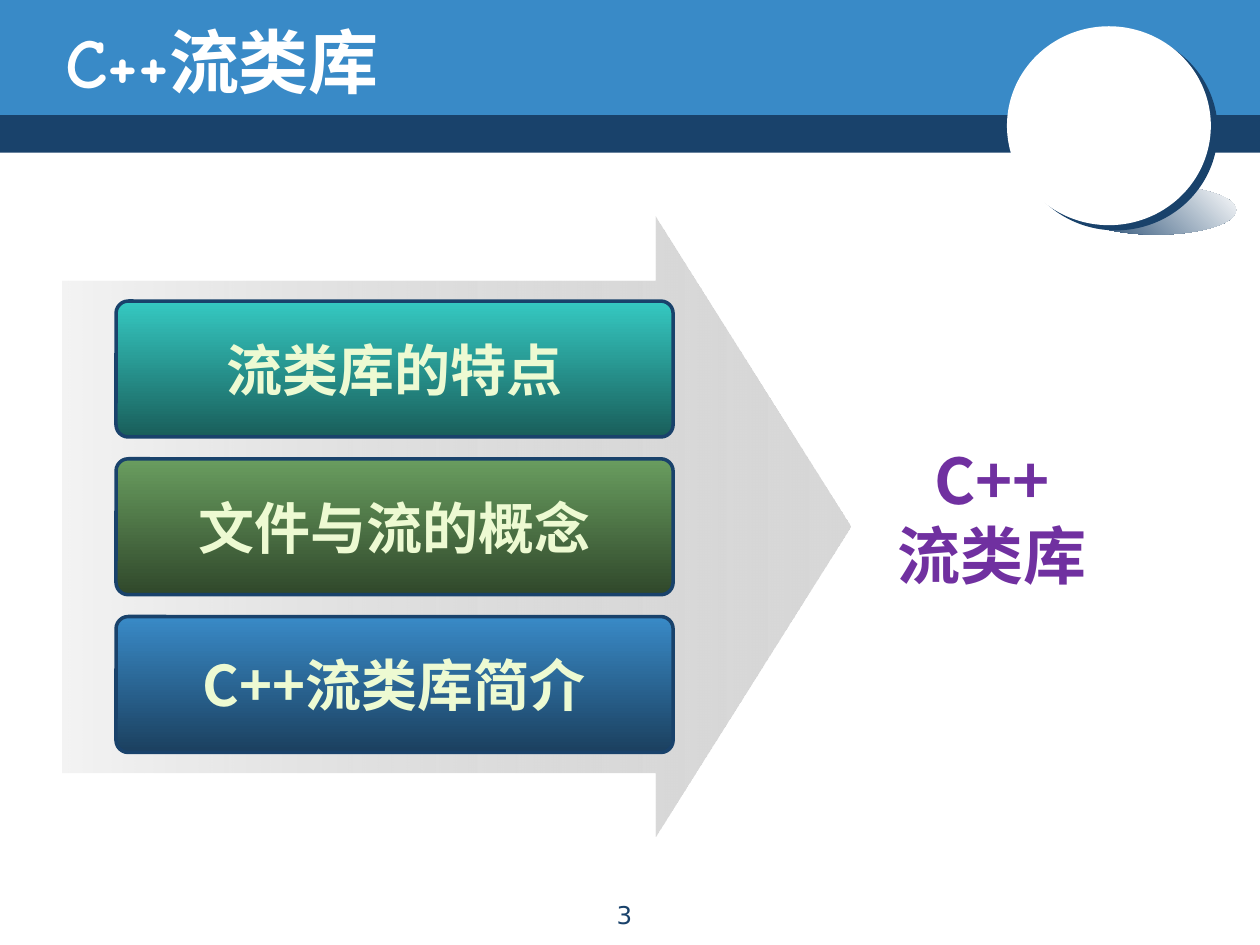
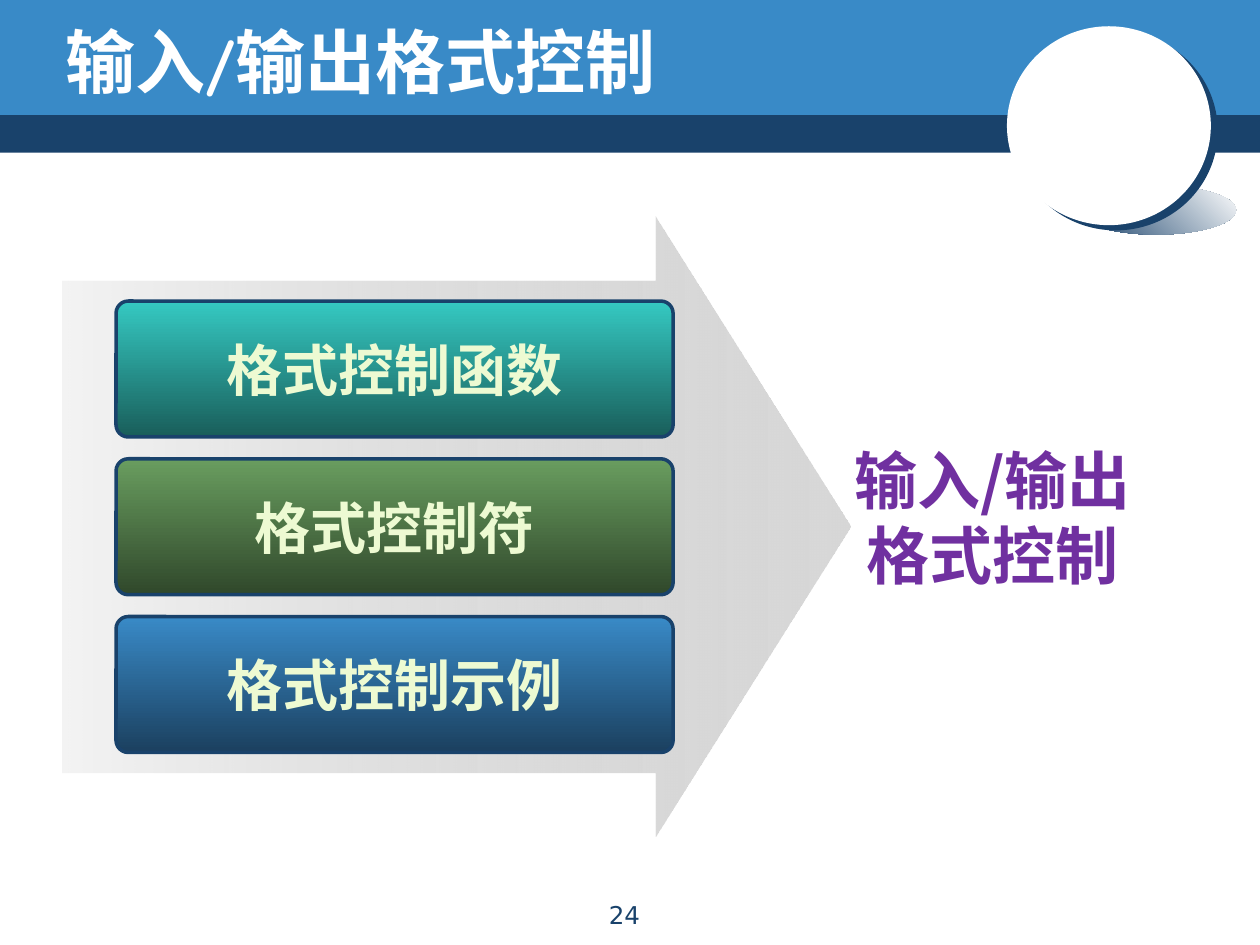
"""Two overview slides about C++ streams: three topics on an arrow, leading to a goal."""
from dataclasses import dataclass

import lxml.etree
import pptx
import pptx.dml.color
import pptx.enum.shapes
import pptx.enum.text
import pptx.oxml.ns
import pptx.util

Cm = pptx.util.Cm
Pt = pptx.util.Pt
RGBColor = pptx.dml.color.RGBColor
Preset = pptx.enum.shapes.MSO_SHAPE
Align = pptx.enum.text.PP_ALIGN
Anchor = pptx.enum.text.MSO_ANCHOR
qn = pptx.oxml.ns.qn

NAVY = RGBColor(0x19, 0x42, 0x6B)
BLUE = RGBColor(0x39, 0x8A, 0xC7)
WHITE = RGBColor(0xFF, 0xFF, 0xFF)
PALE_LIME = RGBColor(0xED, 0xFA, 0xD2)
PURPLE = RGBColor(0x70, 0x30, 0xA0)
ARROW_TAIL = RGBColor(0xB2, 0xB2, 0xB2)
ARROW_TIP = RGBColor(0xD7, 0xD7, 0xD7)
TOPIC_GRADIENTS = (
    (RGBColor(0x35, 0xC9, 0xC2), RGBColor(0x19, 0x5E, 0x5A)),
    (RGBColor(0x69, 0x9D, 0x5F), RGBColor(0x30, 0x48, 0x2B)),
    (BLUE, RGBColor(0x1B, 0x40, 0x5F)),
)
CJK_FONT = "Noto Sans CJK SC"


@dataclass(frozen=True)
class Box:
    """A place on the slide, in centimetres."""
    left: float
    top: float
    width: float
    height: float

    def lengths(self) -> tuple:
        """Return the four lengths for python-pptx."""
        return Cm(self.left), Cm(self.top), Cm(self.width), Cm(self.height)


@dataclass(frozen=True)
class TextStyle:
    """The look of a text."""
    font: str
    size: int
    color: RGBColor
    bold: bool = True
    align: Align = Align.CENTER
    anchor: Anchor = Anchor.MIDDLE
    wrap: bool = True


@dataclass(frozen=True)
class Overview:
    """The content of one slide."""
    title: str
    topics: tuple
    goal: tuple
    number: int


TITLE_STYLE = TextStyle("Comic Neue", 40, WHITE, align=Align.LEFT)
TOPIC_STYLE = TextStyle(CJK_FONT, 32, PALE_LIME, wrap=False)
GOAL_STYLE = TextStyle(CJK_FONT, 36, PURPLE)
NUMBER_STYLE = TextStyle("DejaVu Sans", 14, NAVY, bold=False, anchor=Anchor.TOP)

SLIDE_WIDTH, SLIDE_HEIGHT = 25.4, 19.05
LOWER_BAND = Box(0, 2.2, SLIDE_WIDTH, 0.88)
UPPER_BAND = Box(0, 0, SLIDE_WIDTH, 2.32)
DISC_SHADE = Box(21.69, 3.74, 3.23, 0.99)
DISC = Box(20.3, 0.53, 4.11, 4.01)
TITLE = Box(1.07, 0.43, 20.52, 1.57)
ARROW = Box(1.27, 4.37, 15.88, 12.5)
FIRST_TOPIC = Box(2.34, 6.07, 11.23, 2.74)
TOPIC_PITCH = 3.18
GOAL = Box(16.51, 8.61, 6.99, 3.61)
NUMBER = Box(10.29, 18.01, 4.6, 0.81)

OVERVIEWS = (
    Overview("C++流类库", ("流类库的特点", "文件与流的概念", "C++流类库简介"),
             ("C++", "流类库"), 3),
    Overview("输入/输出格式控制", ("格式控制函数", "格式控制符", "格式控制示例"),
             ("输入/输出", "格式控制"), 24),
)


def add_preset(slide, preset: Preset, box: Box, colors: tuple, angle: float = 0):
    """Add a borderless shape filled with one colour or a two-colour gradient."""
    shape = slide.shapes.add_shape(preset, *box.lengths())
    shape.shadow.inherit = False
    shape.line.fill.background()
    if len(colors) == 1:
        shape.fill.solid()
        shape.fill.fore_color.rgb = colors[0]
    else:
        shape.fill.gradient()
        shape.fill.gradient_angle = angle
        for stop, color, position in zip(shape.fill.gradient_stops, colors, (0, 1)):
            stop.color.rgb = color
            stop.position = position
    return shape


def write(shape, lines: tuple, style: TextStyle) -> None:
    """Write one paragraph per line in the given style."""
    frame = shape.text_frame
    frame.word_wrap = style.wrap
    frame.vertical_anchor = style.anchor
    for index, line in enumerate(lines):
        paragraph = frame.add_paragraph() if index else frame.paragraphs[0]
        paragraph.alignment = style.align
        run = paragraph.add_run()
        run.text = line
        run.font.name = style.font
        run.font.size = Pt(style.size)
        run.font.bold = style.bold
        run.font.color.rgb = style.color
        east_asian = lxml.etree.SubElement(run.font._element, qn("a:ea"))
        east_asian.set("typeface", CJK_FONT)


def add_label(slide, box: Box, lines: tuple, style: TextStyle) -> None:
    """Add a text box."""
    write(slide.shapes.add_textbox(*box.lengths()), lines, style)


def cast_shadow(shape, color: RGBColor, distance: float, degrees: int) -> None:
    """Give a shape a sharp offset shadow."""
    effects = shape._element.spPr.find(qn("a:effectLst"))
    shadow = lxml.etree.SubElement(effects, qn("a:outerShdw"), blurRad="0",
                                   dist=str(Pt(distance)), dir=str(degrees * 60000),
                                   algn="ctr", rotWithShape="0")
    lxml.etree.SubElement(shadow, qn("a:srgbClr"), val=str(color))


def add_header(slide, title: str) -> None:
    """Draw the two bands, the disc with its shade, and the title."""
    add_preset(slide, Preset.RECTANGLE, LOWER_BAND, (NAVY,))
    add_preset(slide, Preset.RECTANGLE, UPPER_BAND, (BLUE,))
    add_preset(slide, Preset.OVAL, DISC_SHADE, (NAVY, WHITE), angle=45)
    disc = add_preset(slide, Preset.OVAL, DISC, (WHITE,))
    cast_shadow(disc, NAVY, distance=5, degrees=37)
    add_label(slide, TITLE, (title,), TITLE_STYLE)


def add_arrow(slide) -> None:
    """Draw the wide arrow, fading out towards its tail."""
    arrow = add_preset(slide, Preset.RIGHT_ARROW, ARROW, (ARROW_TAIL, ARROW_TIP))
    arrow.adjustments[0] = 0.793
    arrow.adjustments[1] = 0.315
    tail_color = arrow._element.spPr.find(".//" + qn("a:srgbClr"))
    lxml.etree.SubElement(tail_color, qn("a:alpha"), val="15000")


def add_topics(slide, topics: tuple) -> None:
    """Stack the topic boxes at an equal pitch."""
    for row, (topic, gradient) in enumerate(zip(topics, TOPIC_GRADIENTS)):
        place = Box(FIRST_TOPIC.left, FIRST_TOPIC.top + row * TOPIC_PITCH,
                    FIRST_TOPIC.width, FIRST_TOPIC.height)
        card = add_preset(slide, Preset.ROUNDED_RECTANGLE, place, gradient, angle=270)
        card.adjustments[0] = 0.09
        card.line.color.rgb = NAVY
        card.line.width = Pt(2)
        write(card, (topic,), TOPIC_STYLE)


def add_overview(deck, overview: Overview) -> None:
    """Add one complete slide."""
    slide = deck.slides.add_slide(deck.slide_layouts[6])
    add_header(slide, overview.title)
    add_arrow(slide)
    add_topics(slide, overview.topics)
    add_label(slide, GOAL, overview.goal, GOAL_STYLE)
    add_label(slide, NUMBER, (str(overview.number),), NUMBER_STYLE)


deck = pptx.Presentation()
deck.slide_width, deck.slide_height = Cm(SLIDE_WIDTH), Cm(SLIDE_HEIGHT)
for overview in OVERVIEWS:
    add_overview(deck, overview)
deck.save("out.pptx")
